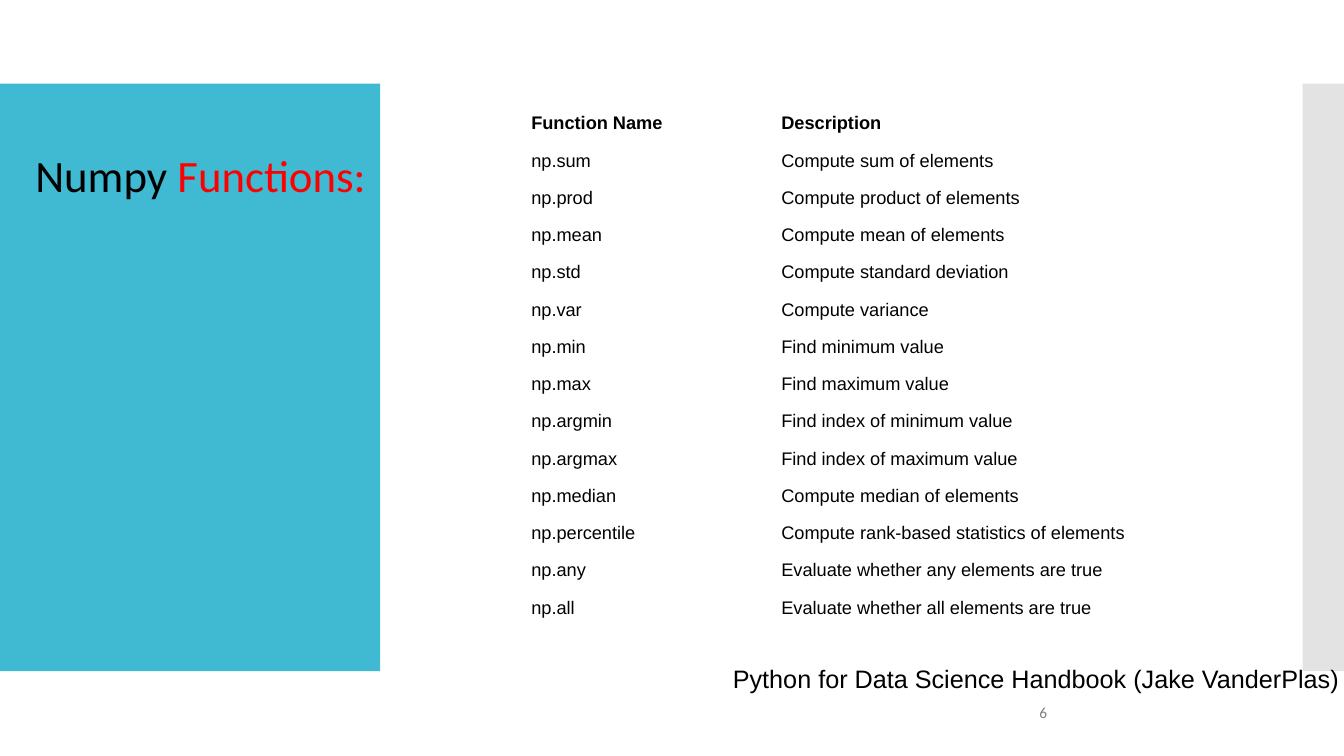
from dataclasses import dataclass

from lxml import etree
from pptx import Presentation
from pptx.dml.color import RGBColor
from pptx.enum.shapes import MSO_SHAPE
from pptx.enum.text import MSO_ANCHOR, PP_ALIGN
from pptx.oxml.ns import qn
from pptx.util import Inches, Pt

RECTANGLE = MSO_SHAPE.RECTANGLE
TOP = MSO_ANCHOR.TOP
MIDDLE = MSO_ANCHOR.MIDDLE
LEFT = PP_ALIGN.LEFT
TITLE_ONLY = 5


@dataclass(frozen=True)
class Theme:
    heading_font: str = "Calibri"
    body_font: str = "Arial"
    panel: RGBColor = RGBColor(0x40, 0xBA, 0xD2)
    edge: RGBColor = RGBColor(0xC8, 0xC8, 0xC8)
    ink: RGBColor = RGBColor(0, 0, 0)
    accent: RGBColor = RGBColor(0xFF, 0, 0)
    muted: RGBColor = RGBColor(0x80, 0x80, 0x80)
    title_size: Pt = Pt(32)
    source_size: Pt = Pt(18)
    table_size: Pt = Pt(13)
    number_size: Pt = Pt(11)


THEME = Theme()

FUNCTIONS = [
    ("Function Name", "Description"),
    ("np.sum", "Compute sum of elements"),
    ("np.prod", "Compute product of elements"),
    ("np.mean", "Compute mean of elements"),
    ("np.std", "Compute standard deviation"),
    ("np.var", "Compute variance"),
    ("np.min", "Find minimum value"),
    ("np.max", "Find maximum value"),
    ("np.argmin", "Find index of minimum value"),
    ("np.argmax", "Find index of maximum value"),
    ("np.median", "Compute median of elements"),
    ("np.percentile", "Compute rank-based statistics of elements"),
    ("np.any", "Evaluate whether any elements are true"),
    ("np.all", "Evaluate whether all elements are true"),
]


def box(left, top, width, height):
    return Inches(left), Inches(top), Inches(width), Inches(height)


def style(paragraph, font_name, size, color, bold=False):
    paragraph.alignment = LEFT
    font = paragraph.font
    font.name, font.size, font.bold = font_name, size, bold
    font.color.rgb = color


def add_band(slide, left, width, color, opacity=100):
    band = slide.shapes.add_shape(RECTANGLE, *box(left, 0.83, width, 5.83))
    band.shadow.inherit = False
    band.fill.solid()
    band.fill.fore_color.rgb = color
    band.line.fill.background()
    if opacity < 100:
        rgb = band._element.spPr.find(qn("a:solidFill")).find(qn("a:srgbClr"))
        etree.SubElement(rgb, qn("a:alpha")).set("val", str(opacity * 1000))


def add_label(slide, text, place, font_name, size, color):
    frame = slide.shapes.add_textbox(*place).text_frame
    frame.word_wrap = True
    frame.text = text
    style(frame.paragraphs[0], font_name, size, color)


def set_title(slide, parts):
    title = slide.shapes.title
    title.left, title.top, title.width, title.height = box(0.25, 1.42, 8.7, 0.64)
    frame = title.text_frame
    frame.vertical_anchor = TOP
    paragraph = frame.paragraphs[0]
    style(paragraph, THEME.heading_font, THEME.title_size, THEME.ink)
    for text, color in parts:
        run = paragraph.add_run()
        run.text = text
        run.font.color.rgb = color
    slide.shapes._spTree.append(title._element)


def add_function_table(slide, rows):
    table = slide.shapes.add_table(
        len(rows), len(rows[0]), *box(5.2, 1.04, 7.32, 5.18)
    ).table
    table.horz_banding = False
    for column, width in zip(table.columns, (2.48, 4.84)):
        column.width = Inches(width)
    for row_index, row in enumerate(rows):
        for column_index, text in enumerate(row):
            cell = table.cell(row_index, column_index)
            cell.text = text
            cell.fill.background()
            cell.vertical_anchor = MIDDLE
            cell.margin_left = cell.margin_right = Inches(0.07)
            cell.margin_top = cell.margin_bottom = Inches(0.03)
            style(
                cell.text_frame.paragraphs[0],
                THEME.body_font,
                THEME.table_size,
                THEME.ink,
                bold=row_index == 0,
            )


def main():
    deck = Presentation()
    deck.slide_width, deck.slide_height = Inches(13.33), Inches(7.5)
    slide = deck.slides.add_slide(deck.slide_layouts[TITLE_ONLY])

    add_band(slide, 0, 3.77, THEME.panel)
    add_band(slide, 12.92, 0.41, THEME.edge, opacity=50)
    add_label(slide, "6", box(10.21, 6.93, 1.1, 0.52),
              THEME.heading_font, THEME.number_size, THEME.muted)
    add_function_table(slide, FUNCTIONS)
    add_label(slide, "Python for Data Science Handbook (Jake VanderPlas)",
              box(7.17, 6.53, 6.38, 0.4),
              THEME.body_font, THEME.source_size, THEME.ink)
    set_title(slide, [("Numpy ", THEME.ink), ("Functions:", THEME.accent)])

    deck.save("out.pptx")


if __name__ == "__main__":
    main()
